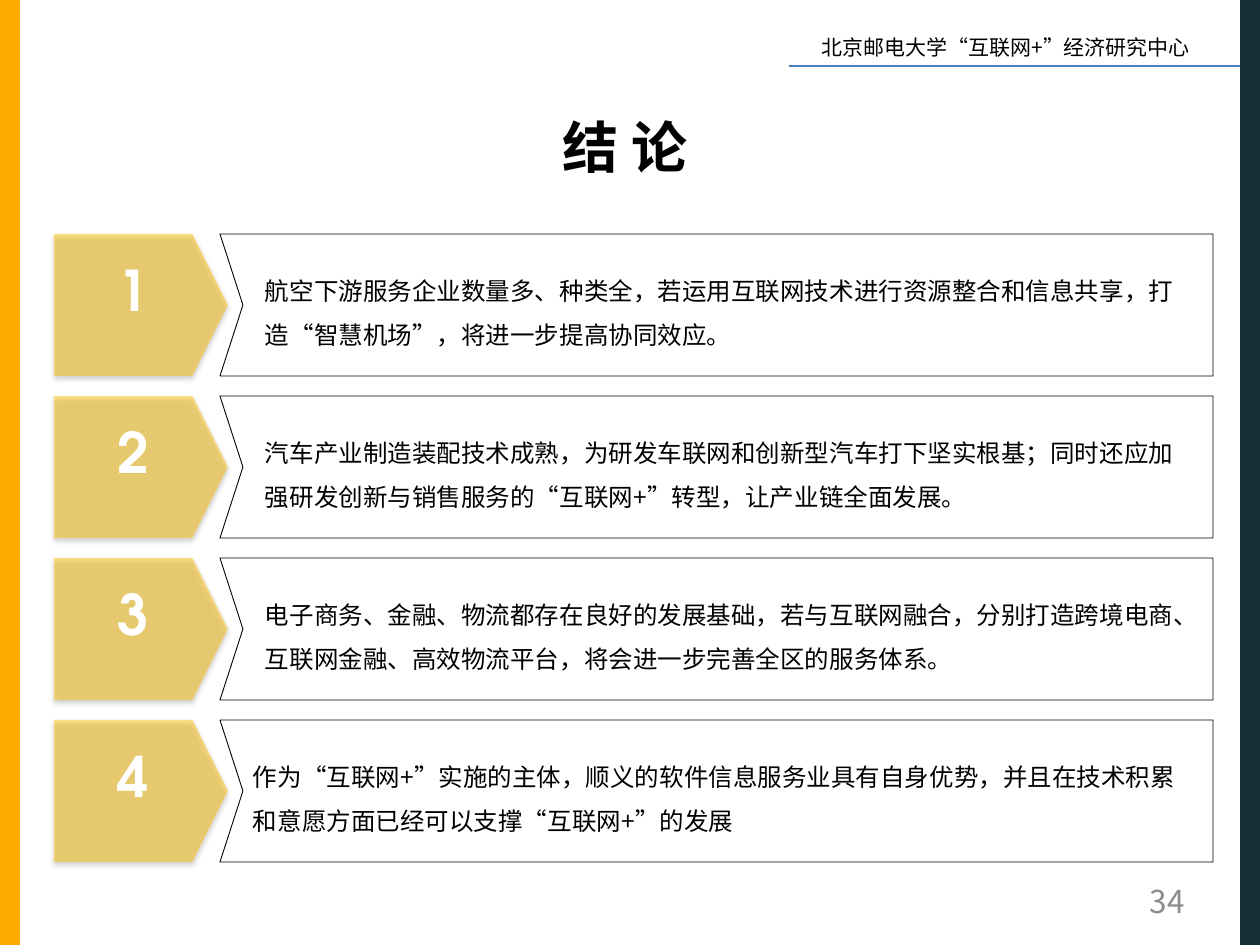
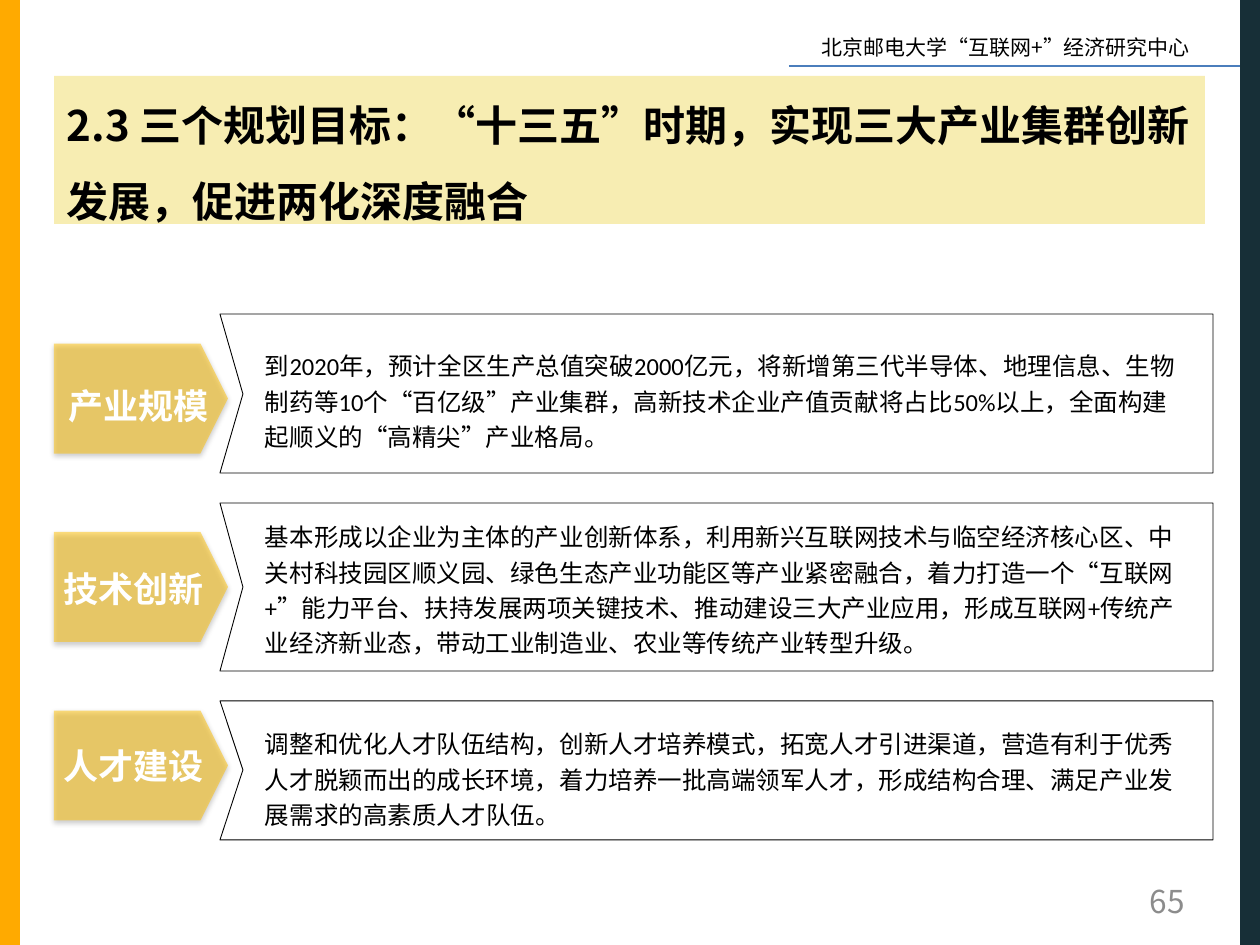
import lxml.etree
import pptx
import pptx.dml.color
import pptx.enum.lang
import pptx.enum.shapes
import pptx.enum.text
import pptx.oxml.ns
import pptx.util

PX = 914400 / 126
ALIGN = pptx.enum.text.PP_ALIGN
ANCHOR = pptx.enum.text.MSO_ANCHOR
SHAPE = pptx.enum.shapes.MSO_SHAPE
CJK = "Noto Sans CJK SC"

THEME = {
    "orange": "FFAA00", "navy": "172F37", "rule": "4B7EBC", "ink": "000000",
    "white": "FFFFFF", "gray": "8C8C8C", "tag": "FFC000", "banner": "E9CD23",
    "header": dict(size=12, color="ink", font=CJK),
    "number": dict(size=18, color="gray", font=CJK, align=ALIGN.RIGHT),
    "title": dict(size=32, color="ink", font=CJK, bold=True, align=ALIGN.CENTER),
    "banner_title": dict(size=24, color="ink", font=CJK, bold=True, spacing=1.5),
    "digit": dict(size=32, color="white", font="TeX Gyre Adventor", bold=True,
                  align=ALIGN.CENTER, spacing=0.8),
    "label": dict(size=20, color="white", font="Arial", bold=True, align=ALIGN.CENTER),
    "finding": dict(size=14, color="ink", font=CJK, spacing=1.5),
    "goal": dict(size=14, color="ink", font="Calibri", spacing=1.2),
}

HEADER = "北京邮电大学“互联网+”经济研究中心"
BOX_LEFT, BOX_RIGHT, NOTCH = 220, 1213, 23
TAG_LEFT, TAG_WIDTH = 54, 174
BODY_WIDTH = 926

FINDINGS = {
    "number": 34, "title": "结 论", "title_style": "title",
    "title_box": (392, 106, 466, 81), "banner": False,
    "top": 234, "gap": 20, "tag_alpha": 47, "tag_height": 142,
    "label_style": "digit", "label_height": 67,
    "body_style": "finding", "body_height": 47,
    "rows": [
        dict(height=142, label="1", label_at=(64, 28, 139),
             body="航空下游服务企业数量多、种类全，若运用互联网技术进行资源整合和信息共享，打造“智慧机场”，将进一步提高协同效应。"),
        dict(height=142, label="2", label_at=(64, 28, 139),
             body="汽车产业制造装配技术成熟，为研发车联网和创新型汽车打下坚实根基；同时还应加强研发创新与销售服务的“互联网+”转型，让产业链全面发展。"),
        dict(height=142, label="3", label_at=(64, 28, 139),
             body="电子商务、金融、物流都存在良好的发展基础，若与互联网融合，分别打造跨境电商、互联网金融、高效物流平台，将会进一步完善全区的服务体系。"),
        dict(height=142, label="4", label_at=(64, 28, 139), body_left=253,
             body="作为“互联网+”实施的主体，顺义的软件信息服务业具有自身优势，并且在技术积累和意愿方面已经可以支撑“互联网+”的发展"),
    ],
}

GOALS = {
    "number": 65, "title_style": "banner_title",
    "title": "2.3 三个规划目标：“十三五”时期，实现三大产业集群创新发展，促进两化深度融合",
    "title_box": (54, 76, 1151, 148), "banner": True,
    "top": 314, "gap": 30, "tag_alpha": 50, "tag_height": 110,
    "label_style": "label", "label_height": 55,
    "body_style": "goal", "body_height": 35,
    "rows": [
        dict(height=159, label="产业规模", label_at=(54, 64, 169), tag_shift=5, body_shift=5,
             body="到2020年，预计全区生产总值突破2000亿元，将新增第三代半导体、地理信息、生物制药等10个“百亿级”产业集群，高新技术企业产值贡献将占比50%以上，全面构建起顺义的“高精尖”产业格局。"),
        dict(height=168, label="技术创新", label_at=(44, 58, 179),
             body="基本形成以企业为主体的产业创新体系，利用新兴互联网技术与临空经济核心区、中关村科技园区顺义园、绿色生态产业功能区等产业紧密融合，着力打造一个“互联网+”能力平台、扶持发展两项关键技术、推动建设三大产业应用，形成互联网+传统产业经济新业态，带动工业制造业、农业等传统产业转型升级。"),
        dict(height=139, label="人才建设", label_at=(44, 37, 179), tag_shift=-5, body_shift=6,
             body="调整和优化人才队伍结构，创新人才培养模式，拓宽人才引进渠道，营造有利于优秀人才脱颖而出的成长环境，着力培养一批高端领军人才，形成结构合理、满足产业发展需求的高素质人才队伍。"),
    ],
}


def emu(*lengths):
    return [round(v * PX) for v in lengths]


def rgb(name):
    return pptx.dml.color.RGBColor.from_string(THEME[name])


def sub(parent, tag, **attrs):
    el = lxml.etree.SubElement(parent, pptx.oxml.ns.qn(tag))
    for key, value in attrs.items():
        el.set(key, str(value))
    return el


def paint(sp, color, alpha=100):
    sp.fill.solid()
    sp.fill.fore_color.rgb = rgb(color)
    if alpha < 100:
        clr = next(sp.element.spPr.iter(pptx.oxml.ns.qn("a:srgbClr")))
        sub(clr, "a:alpha", val=alpha * 1000)


def write(sp, text, style, anchor=ANCHOR.TOP, inset=True):
    st = THEME[style]
    tf = sp.text_frame
    tf.text = text
    tf.word_wrap = True
    tf.auto_size = pptx.enum.text.MSO_AUTO_SIZE.NONE
    tf.vertical_anchor = anchor
    tf.margin_left = tf.margin_right = pptx.util.Inches(0.1 if inset else 0)
    tf.margin_top = tf.margin_bottom = pptx.util.Inches(0.05 if inset else 0)
    p = tf.paragraphs[0]
    p.alignment = st.get("align", ALIGN.LEFT)
    p.line_spacing = st.get("spacing", 1.0)
    p.space_before = pptx.util.Pt(0)
    font = p.runs[0].font
    font.size = pptx.util.Pt(st["size"])
    font.bold = st.get("bold", False)
    font.color.rgb = rgb(st["color"])
    font.name = st["font"]
    font.language_id = pptx.enum.lang.MSO_LANGUAGE_ID.SIMPLIFIED_CHINESE
    latin = next(p.runs[0].font.fill and tf.paragraphs[0].runs[0]._r.iter(pptx.oxml.ns.qn("a:latin")))
    ea = lxml.etree.Element(pptx.oxml.ns.qn("a:ea"), typeface=CJK)
    latin.addnext(ea)


def add_text(s, box, text, style, **options):
    sp = s.shapes.add_textbox(*emu(*box))
    write(sp, text, style, **options)
    return sp


def add_block(s, kind, box, color, alpha=100):
    sp = s.shapes.add_shape(kind, *emu(*box))
    sp.shadow.inherit = False
    sp.line.fill.background()
    paint(sp, color, alpha)
    return sp


def add_tag(s, box, alpha):
    sp = add_block(s, SHAPE.PENTAGON, box, "tag", alpha)
    sp.adjustments[0] = 0.25
    effects = sp.element.spPr.find(pptx.oxml.ns.qn("a:effectLst"))
    shadow = sub(effects, "a:outerShdw", blurRad=pptx.util.Pt(3.1),
                 dist=pptx.util.Pt(1.6), dir=5400000, rotWithShape=0)
    sub(sub(shadow, "a:srgbClr", val=THEME["ink"]), "a:alpha", val=38000)


def add_notched_box(s, top, height):
    fb = s.shapes.build_freeform(BOX_RIGHT, top, scale=PX)
    fb.add_line_segments([
        (BOX_LEFT, top), (BOX_LEFT + NOTCH, top + height / 2),
        (BOX_LEFT, top + height), (BOX_RIGHT, top + height),
    ], close=True)
    sp = fb.convert_to_shape()
    sp.shadow.inherit = False
    sp.fill.background()
    sp.line.color.rgb = rgb("ink")
    sp.line.width = pptx.util.Pt(0.5)


def add_row(s, page, row, top):
    middle = top + row["height"] / 2
    tag_top = middle + row.get("tag_shift", 0) - page["tag_height"] / 2
    body_top = middle + row.get("body_shift", 0) - page["body_height"] / 2
    label_left, label_drop, label_width = row["label_at"]
    add_tag(s, (TAG_LEFT, tag_top, TAG_WIDTH, page["tag_height"]), page["tag_alpha"])
    add_notched_box(s, top, row["height"])
    add_text(s, (row.get("body_left", 265), body_top, BODY_WIDTH, page["body_height"]),
             row["body"], page["body_style"], anchor=ANCHOR.MIDDLE, inset=False)
    add_text(s, (label_left, top + label_drop, label_width, page["label_height"]),
             row["label"], page["label_style"])


def add_frame(s, layout):
    line = s.shapes.add_connector(
        pptx.enum.shapes.MSO_CONNECTOR.STRAIGHT, *emu(789, 66, 1240, 66))
    line.line.color.rgb = rgb("rule")
    line.line.width = pptx.util.Pt(0.75)
    sub(line.element.spPr, "a:effectLst")
    parts = [
        add_block(s, SHAPE.RECTANGLE, (0, 0, 20, 945), "orange"),
        add_block(s, SHAPE.RECTANGLE, (1240, 0, 20, 945), "navy"),
        add_text(s, (809, 28, 407, 38), HEADER, "header"),
        line,
    ]
    for sp in parts:
        layout.shapes.element.append(sp.element)


def add_page(s, page):
    title = s.shapes.title
    title.left, title.top, title.width, title.height = emu(*page["title_box"])
    write(title, page["title"], page["title_style"],
          anchor=ANCHOR.MIDDLE if page["banner"] else ANCHOR.TOP)
    if page["banner"]:
        paint(title, "banner", 35)
    add_text(s, (903, 876, 294, 50), str(page["number"]), "number", anchor=ANCHOR.MIDDLE)
    top = page["top"]
    for row in page["rows"]:
        add_row(s, page, row, top)
        top += row["height"] + page["gap"]


def main():
    prs = pptx.Presentation()
    prs.slide_width, prs.slide_height = emu(1260, 945)
    layout = prs.slide_layouts[5]
    for i, page in enumerate([FINDINGS, GOALS]):
        s = prs.slides.add_slide(layout)
        if i == 0:
            add_frame(s, layout)
        add_page(s, page)
    prs.save("out.pptx")


if __name__ == "__main__":
    main()
